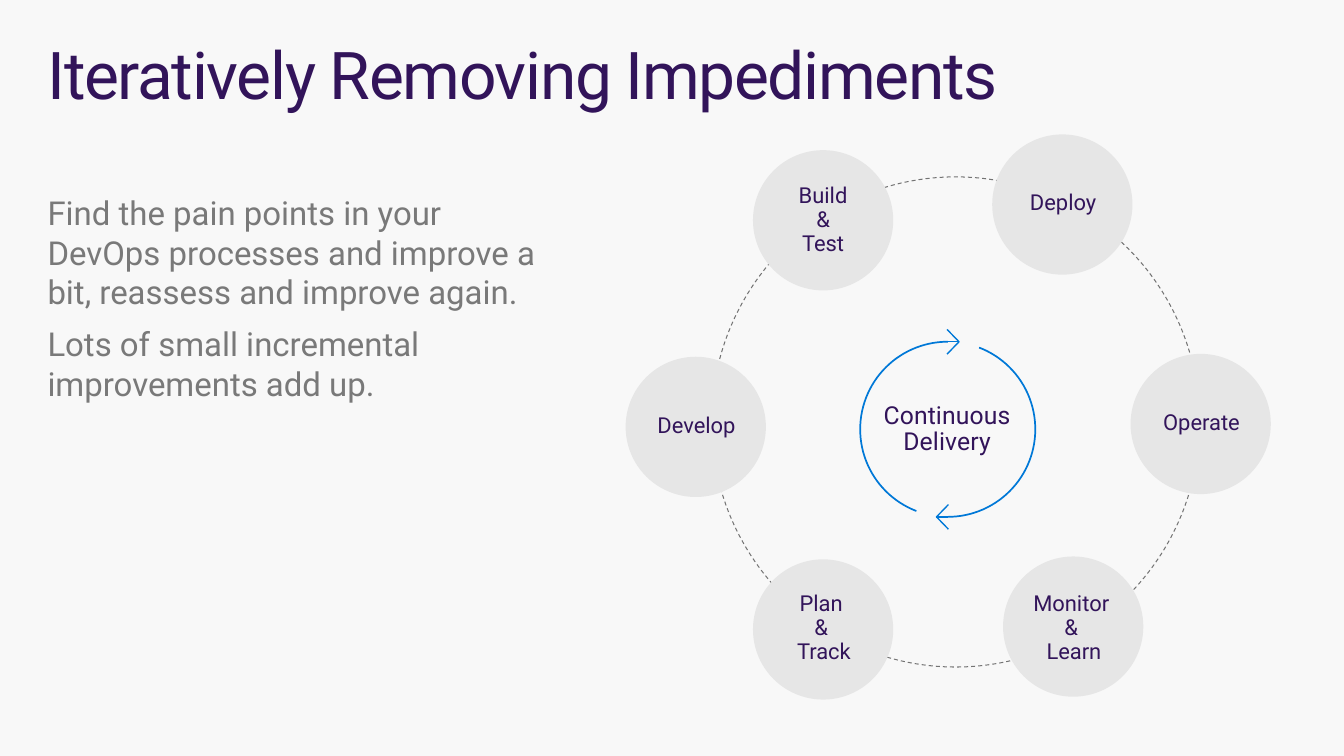
from dataclasses import dataclass
from math import cos, radians, sin

from lxml.etree import SubElement
from pptx import Presentation
from pptx.dml.color import RGBColor
from pptx.enum.dml import MSO_LINE
from pptx.enum.shapes import MSO_CONNECTOR, MSO_SHAPE
from pptx.enum.text import MSO_ANCHOR as Anchor, MSO_AUTO_SIZE, PP_ALIGN as Align
from pptx.oxml.ns import qn
from pptx.util import Pt


@dataclass(frozen=True)
class Theme:
    font: str = "Roboto"
    background: RGBColor = RGBColor(0xF8, 0xF8, 0xF8)
    purple: RGBColor = RGBColor(0x32, 0x14, 0x5A)
    body_grey: RGBColor = RGBColor(0x79, 0x79, 0x79)
    ring_grey: RGBColor = RGBColor(0x73, 0x73, 0x73)
    disc_grey: RGBColor = RGBColor(0xE6, 0xE6, 0xE6)
    arrow_blue: RGBColor = RGBColor(0x00, 0x78, 0xD7)
    title_size: int = 48
    body_size: int = 24
    hub_size: int = 18
    stage_size: int = 16


THEME = Theme()
DISC = 102.2
LABEL_WIDTH = 93.6
LABEL_INSET = 4.9
LABEL_MARGINS = (14.4, 11.5, 14.4, 11.5)
HUB_X, HUB_Y, HUB_RADIUS = 690.5, 312.8, 63.8

# Text, disc left, disc top, drop of the label below the disc top.
# Without a drop the text sits in the disc itself.
STAGES = [
    ("Build\v&\vTest", 548.6, 109.4, None),
    ("Deploy", 722.9, 97.9, 30.3),
    ("Operate", 823.7, 257.8, 30.9),
    ("Monitor \v& \vLearn", 730.8, 405.4, 15.1),
    ("Plan \v& \vTrack", 548.6, 407.5, 13),
    ("Develop", 455.8, 259.9, 31),
]


def place(shape, left, top, width, height):
    shape.left, shape.top = Pt(left), Pt(top)
    shape.width, shape.height = Pt(width), Pt(height)


def set_up_frame(frame, margins=(0, 0, 0, 0), anchor=Anchor.TOP):
    frame.word_wrap = True
    frame.auto_size = MSO_AUTO_SIZE.NONE
    frame.vertical_anchor = anchor
    (frame.margin_left, frame.margin_top,
     frame.margin_right, frame.margin_bottom) = map(Pt, margins)


def write(paragraph, text, size, color, align=Align.LEFT, line_spacing=0.9, tracking=0):
    """Fill and format a paragraph; tracking is letter spacing in points."""
    paragraph.text = text
    paragraph.alignment = align
    paragraph.line_spacing = line_spacing
    paragraph.font.name = THEME.font
    paragraph.font.size = Pt(size)
    paragraph.font.color.rgb = color
    if tracking:
        for run in paragraph.runs:
            run._r.get_or_add_rPr().set("spc", str(round(tracking * 100)))


def add_title(slide, text):
    title = slide.shapes.title
    place(title, 34.6, 18, 910.8, 59)
    set_up_frame(title.text_frame, margins=(0, 13, 0, 0))
    write(title.text_frame.paragraphs[0], text, THEME.title_size, THEME.purple, tracking=-1)


def add_body(slide, texts):
    body = slide.placeholders[1]
    place(body, 34.6, 140.4, 357.1, 154.8)
    frame = body.text_frame
    set_up_frame(frame)
    for index, text in enumerate(texts):
        paragraph = frame.add_paragraph() if index else frame.paragraphs[0]
        properties = paragraph._p.get_or_add_pPr()
        properties.set("marL", "0")
        properties.set("indent", "0")
        SubElement(properties, qn("a:buNone"))
        paragraph.space_before = Pt(0)
        paragraph.space_after = Pt(9)
        write(paragraph, text, THEME.body_size, THEME.body_grey, line_spacing=1.0)


def add_circle(slide, left, top, width, height):
    circle = slide.shapes.add_shape(
        MSO_SHAPE.OVAL, Pt(left), Pt(top), Pt(width), Pt(height))
    circle.shadow.inherit = False
    return circle


def add_ring(slide):
    ring = add_circle(slide, 518.4, 128.9, 355.7, 357.1)
    ring.fill.background()
    ring.line.color.rgb = THEME.ring_grey
    ring.line.width = Pt(0.75)
    ring.line.dash_style = MSO_LINE.DASH


def add_stage(slide, text, left, top, drop):
    disc = add_circle(slide, left, top, DISC, DISC)
    disc.fill.solid()
    disc.fill.fore_color.rgb = THEME.disc_grey
    disc.line.fill.background()
    if drop is None:
        frame, anchor = disc.text_frame, Anchor.MIDDLE
    else:
        label = slide.shapes.add_textbox(
            Pt(left + LABEL_INSET), Pt(top + drop),
            Pt(LABEL_WIDTH), Pt(75.6 if "\v" in text else 41))
        frame, anchor = label.text_frame, Anchor.TOP
    set_up_frame(frame, LABEL_MARGINS, anchor)
    write(frame.paragraphs[0], text, THEME.stage_size, THEME.purple, Align.CENTER)


def style_stroke(line, width):
    line.color.rgb = THEME.arrow_blue
    line.width = Pt(width)


def add_outline(group, points, width):
    start, *rest = [(Pt(x), Pt(y)) for x, y in points]
    builder = group.shapes.build_freeform(*start)
    builder.add_line_segments(rest, close=False)
    outline = builder.convert_to_shape()
    outline.shadow.inherit = False
    outline.fill.background()
    style_stroke(outline.line, width)


def add_half_cycle(group, side):
    """Draw one curved arrow; side is 1 for the right half and -1 for the left."""
    def from_hub(dx, dy):
        return HUB_X + side * dx, HUB_Y + side * dy

    arc = [from_hub(HUB_RADIUS * cos(radians(a)), HUB_RADIUS * sin(radians(a)))
           for a in range(-69, 91, 3)]
    add_outline(group, arc, 1.25)
    head = [from_hub(dx, HUB_RADIUS + dy) for dx, dy in ((0.5, -9), (-8.2, 0), (0.5, 9))]
    add_outline(group, head, 1)
    shaft = group.shapes.add_connector(
        MSO_CONNECTOR.STRAIGHT, *map(Pt, arc[-1]), *map(Pt, head[1]))
    style_stroke(shaft.line, 1)
    SubElement(shaft._element.spPr, qn("a:effectLst"))


def add_hub(slide, text):
    group = slide.shapes.add_group_shape()
    caption = group.shapes.add_textbox(Pt(623.5), Pt(267.8), Pt(133.2), Pt(90))
    set_up_frame(caption.text_frame, anchor=Anchor.MIDDLE)
    write(caption.text_frame.paragraphs[0], text, THEME.hub_size, THEME.purple,
          Align.CENTER, tracking=0.1)
    for side in (1, -1):
        add_half_cycle(group, side)


def main():
    deck = Presentation()
    deck.slide_width, deck.slide_height = Pt(979.2), Pt(550.8)
    slide = deck.slides.add_slide(deck.slide_layouts[1])
    slide.background.fill.solid()
    slide.background.fill.fore_color.rgb = THEME.background

    add_title(slide, "Iteratively Removing Impediments")
    add_body(slide, [
        "Find the pain points in your DevOps processes and improve a bit, "
        "reassess and improve again.",
        "Lots of small incremental improvements add up.",
    ])
    add_ring(slide)
    add_hub(slide, "Continuous\vDelivery")
    for stage in STAGES:
        add_stage(slide, *stage)
    deck.save("out.pptx")


if __name__ == "__main__":
    main()
